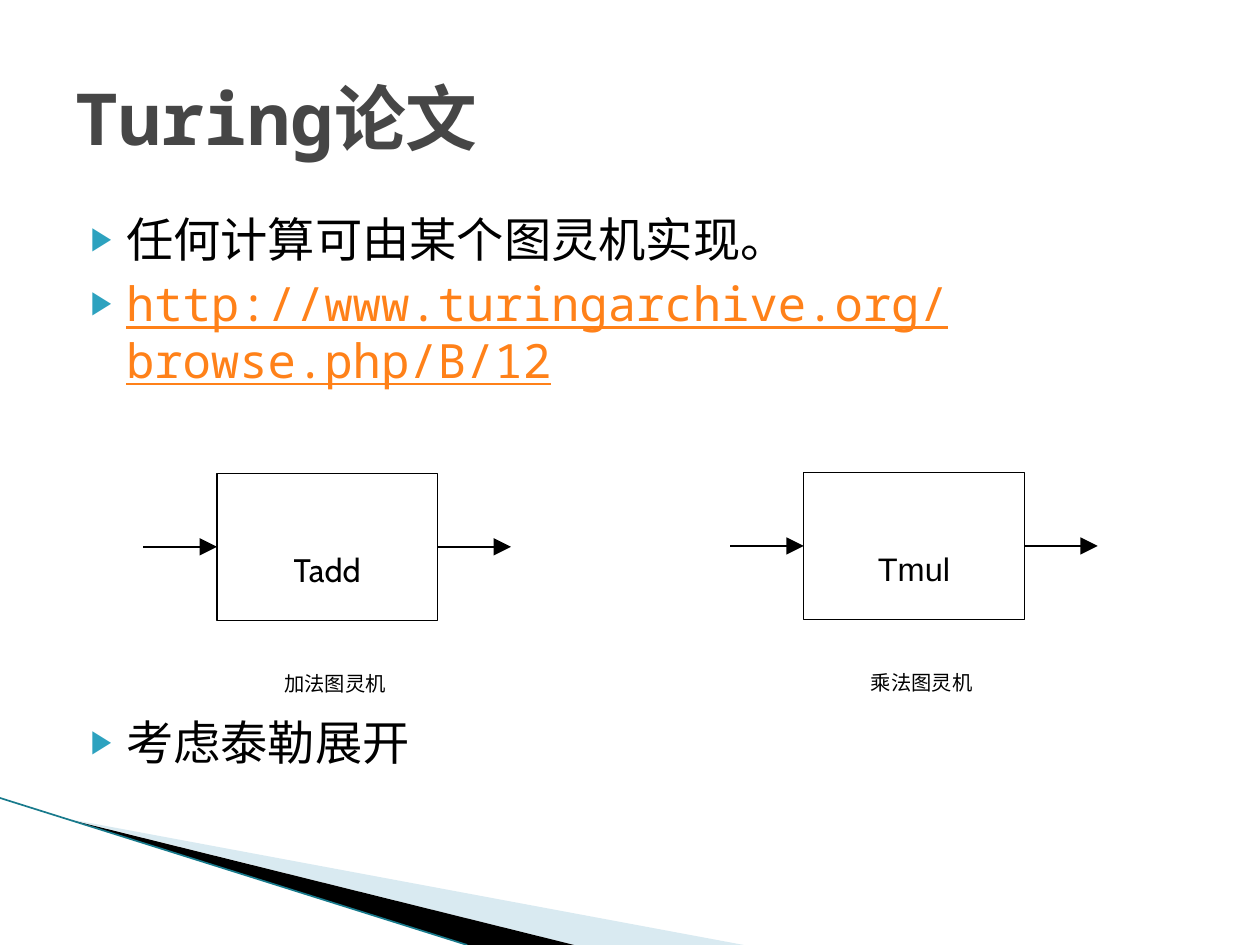
from lxml import etree
from pptx import Presentation
from pptx.dml.color import RGBColor
from pptx.enum.shapes import MSO_CONNECTOR as Conn, MSO_SHAPE as Shape
from pptx.enum.text import MSO_ANCHOR as Anchor, MSO_AUTO_SIZE as Fit, PP_ALIGN as Align
from pptx.oxml.ns import qn
from pptx.util import Pt

BLACK, MONO = "000000", "Noto Sans Mono"


def color(code):
    return RGBColor.from_string(code)


def style(font, tint, **values):
    for key, value in values.items():
        setattr(font, key, value)
    font.color.rgb = color(tint)


def sub(parent, tag, **attrs):
    return etree.SubElement(parent, qn(tag), attrs)


def place(shape, box):
    for key, value in zip(("left", "top", "width", "height"), box):
        setattr(shape, key, Pt(value))


def frame(shape, anchor, wrap=True):
    text = shape.text_frame
    text.auto_size, text.word_wrap = Fit.NONE, wrap
    text.vertical_anchor = anchor
    return text


def line(shapes, start, end, tint, width, arrow=False):
    link = shapes.add_connector(Conn.STRAIGHT, *map(Pt, start + end))
    link.line.color.rgb, link.line.width = color(tint), Pt(width)
    if arrow:
        sub(link.line._get_or_add_ln(), "a:tailEnd", type="triangle", w="lg", len="lg")
    sub(link._element.spPr, "a:effectLst")


def wedge(shapes, points, tint):
    path = shapes.build_freeform(*points[0], scale=Pt(1))
    path.add_line_segments(points[1:])
    shape = path.convert_to_shape()
    shape.shadow.inherit = False
    shape.fill.solid()
    shape.fill.fore_color.rgb = color(tint)
    shape.line.fill.background()


def corner(shapes, box):
    x, y, w, h = box
    foot = y + h
    wedge(shapes, [(x + 39, y + 12), (x + w, foot), (x + 328, foot)], "D9EAF1")
    wedge(shapes, [(x + 38, y + 11.5), (x + 328, foot), (x + 267, foot)], BLACK)
    line(shapes, (x, y), (x + 267, foot), "187A8C", 0.95)


def heading(shape, box):
    place(shape, box)
    text = frame(shape, Anchor.MIDDLE)
    text.text = "Turing论文"
    para = text.paragraphs[0]
    para.alignment = Align.LEFT
    style(para.font, "464646", name=MONO, size=Pt(41), bold=True)


def bullets(shape, box, items):
    """Fill the body with (text, space before, colour, underline) items."""
    place(shape, box)
    text = frame(shape, Anchor.TOP)
    text.text = "\n".join(item[0] for item in items)
    for para, (_, gap, tint, under) in zip(text.paragraphs, items):
        para.space_before = Pt(gap)
        props = para._p.get_or_add_pPr()
        props.set("marL", str(Pt(28.8)))
        props.set("indent", str(-Pt(20.16)))
        sub(sub(props, "a:buClr"), "a:srgbClr", val="2DA2BF")
        sub(props, "a:buSzPct", val="68000")
        sub(props, "a:buFont", typeface="Arial")
        sub(props, "a:buChar", char="▶")
        style(para.font, BLACK, name=MONO, size=Pt(27))
        style(para.runs[0].font, tint, underline=under)


def label(shape, words, anchor, face, size):
    text = frame(shape, anchor, wrap=False)
    text.text = words
    para = text.paragraphs[0]
    para.alignment = Align.CENTER
    style(para.font, BLACK, name=face, size=Pt(size))
    return text


def machine(shapes, box, name, face, note):
    """Draw a box with an arrow in, an arrow out and a caption below."""
    x, y, w, h = box
    arm, gap = 42, 12
    core = w - 2 * arm
    rect = shapes.add_shape(Shape.RECTANGLE, *map(Pt, (x + arm, y, core, h)))
    rect.shadow.inherit = False
    rect.fill.background()
    rect.line.color.rgb, rect.line.width = color(BLACK), Pt(0.75)
    label(rect, name, Anchor.MIDDLE, face, 18.6).margin_top = Pt(29)
    for start in (x, x + arm + core):
        line(shapes, (start, y + h / 2), (start + arm, y + h / 2), BLACK, 0.75, True)
    spot = (x + arm + 10, y + h + gap + 8, 115, 32)
    caption = shapes.add_textbox(*map(Pt, spot))
    label(caption, note, Anchor.MIDDLE, "Cabin", 11.6)


def main():
    deck = Presentation()
    deck.slide_width, deck.slide_height = Pt(720), Pt(540)
    slide = deck.slides.add_slide(deck.slide_layouts[1])
    shapes = slide.shapes
    title, body = slide.placeholders
    corner(shapes, (0, 456, 425, 84))
    heading(title, (36, 21.6, 648, 90))
    bullets(body, (36, 116.64, 648, 356.4), [
        ("任何计算可由某个图灵机实现。", 0, BLACK, False),
        ("http://www.turingarchive.org/browse.php/B/12", 4, "FF8119", True),
        ("考虑泰勒展开", 186, BLACK, False),
    ])
    machine(shapes, (82, 270.5, 210, 84), "Tadd", "Cabin", "加法图灵机")
    machine(shapes, (417.3, 270, 210, 84), "Tmul", "Arial", "乘法图灵机")
    deck.save("out.pptx")


if __name__ == "__main__":
    main()
